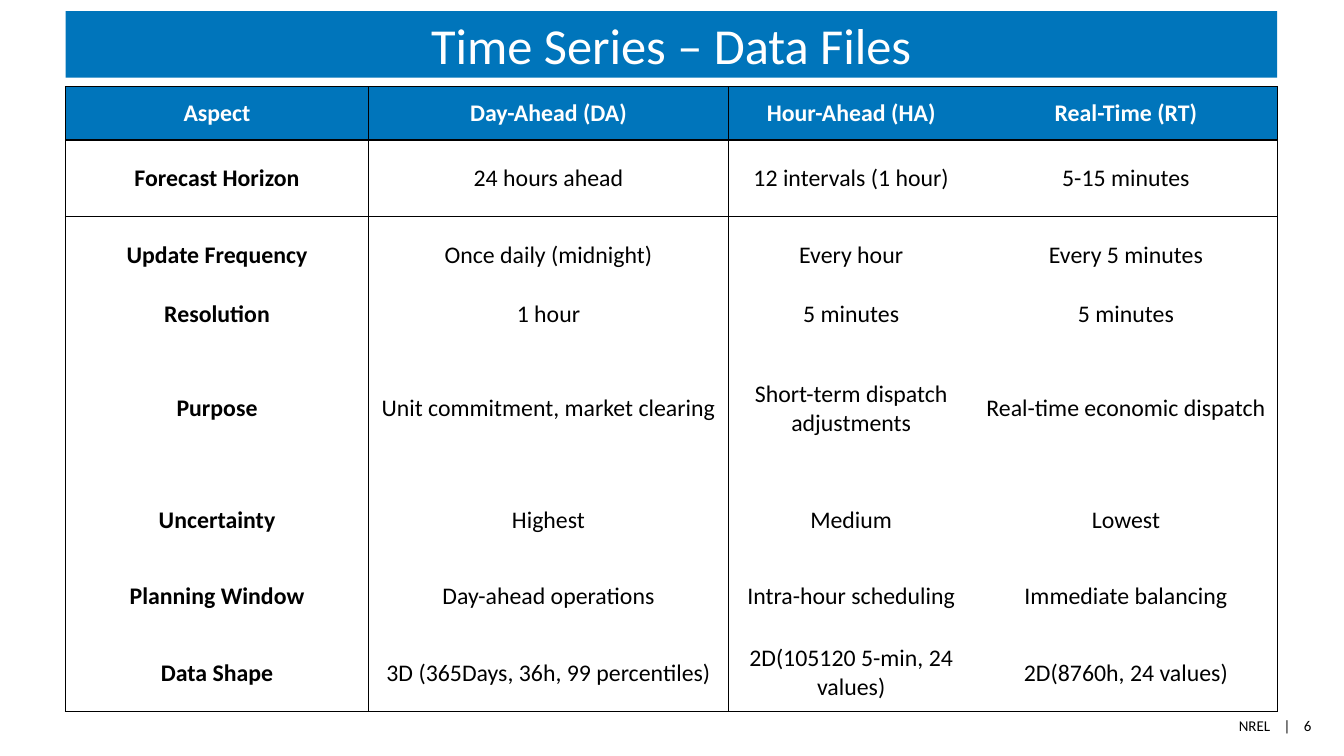
from lxml.etree import SubElement
from pptx import Presentation
from pptx.dml.color import RGBColor
from pptx.enum.text import MSO_ANCHOR, MSO_AUTO_SIZE, PP_ALIGN
from pptx.oxml import parse_xml
from pptx.oxml.ns import nsdecls, qn
from pptx.util import Pt

BLUE = RGBColor(0x00, 0x75, 0xBB)
WHITE = RGBColor(0xFF, 0xFF, 0xFF)
BLACK = RGBColor(0x00, 0x00, 0x00)

TITLE = "Time Series – Data Files"
FOOTER = "NREL\u00a0\u00a0\u00a0 |\u00a0\u00a0\u00a0 6".replace("\u00a0", " ")
ROWS = [
    ("Aspect", "Day-Ahead (DA)", "Hour-Ahead (HA)", "Real-Time (RT)"),
    ("Forecast Horizon", "24 hours ahead", "12 intervals (1 hour)", "5-15 minutes"),
    ("Update Frequency", "Once daily (midnight)", "Every hour", "Every 5 minutes"),
    ("Resolution", "1 hour", "5 minutes", "5 minutes"),
    ("Purpose", "Unit commitment, market clearing",
     "Short-term dispatch adjustments", "Real-time economic dispatch"),
    ("Uncertainty", "Highest", "Medium", "Lowest"),
    ("Planning Window", "Day-ahead operations", "Intra-hour scheduling",
     "Immediate balancing"),
    ("Data Shape", "3D (365Days, 36h, 99 percentiles)",
     "2D(105120 5-min, 24 values)", "2D(8760h, 24 values)"),
]
WIDTHS = [216.5, 257, 175.5, 217]
HEIGHTS = [38, 54.8, 54.8, 30.2, 104.2, 54.8, 54.8, 54.8]
LEFT, TOP = 46.8, 62
ROW_RULES = {0, 1, 2, len(ROWS)}
COL_RULES = {0, 1, 2, len(WIDTHS)}
NO_STYLE = "{2D5ABB26-0587-4C30-8999-92F81FD0307C}"


def write(frame, text, align=PP_ALIGN.CENTER, **look):
    frame.text = text
    par = frame.paragraphs[0]
    par.alignment = align
    par.font.color.rgb = look.pop("color")
    for name, value in {"name": "Calibri", **look}.items():
        setattr(par.font, name, value)
    return par


def inset(box, left, top, right, bottom):
    for side, gap in zip(("left", "top", "right", "bottom"),
                         (left, top, right, bottom)):
        setattr(box, "margin_" + side, Pt(gap))


def rule(cell, row, col):
    """Draw the cell edges that lie on a ruled grid line."""
    edges = {"L": col in COL_RULES, "R": col + 1 in COL_RULES,
             "T": row in ROW_RULES, "B": row + 1 in ROW_RULES}
    props = cell._tc.get_or_add_tcPr()
    for spot, (side, drawn) in enumerate(edges.items()):
        line = parse_xml(f'<a:ln{side} {nsdecls("a")} w="{Pt(1)}"/>')
        if drawn:
            fill = SubElement(line, qn("a:solidFill"))
            SubElement(fill, qn("a:srgbClr"), val=str(BLACK))
        else:
            SubElement(line, qn("a:noFill"))
        props.insert(spot, line)


def add_title(slide):
    title = slide.shapes.title
    title.left, title.top, title.width, title.height = map(
        Pt, (LEFT, 8, 865.5, 47.5))
    title.fill.solid()
    title.fill.fore_color.rgb = BLUE
    frame = title.text_frame
    frame.auto_size = MSO_AUTO_SIZE.NONE
    frame.vertical_anchor = MSO_ANCHOR.MIDDLE
    inset(frame, 7.2, 9.4, 7.2, 3.6)
    par = write(frame, TITLE, size=Pt(36), color=WHITE)
    par.line_spacing = Pt(37.3)


def add_grid(slide):
    table = slide.shapes.add_table(
        len(ROWS), len(WIDTHS), Pt(LEFT), Pt(TOP),
        Pt(sum(WIDTHS)), Pt(sum(HEIGHTS))).table
    table.horz_banding = False
    table._tbl.tblPr.find(qn("a:tableStyleId")).text = NO_STYLE
    for col, width in zip(table.columns, WIDTHS):
        col.width = Pt(width)
    for row, height in zip(table.rows, HEIGHTS):
        row.height = Pt(height)
    for r, texts in enumerate(ROWS):
        for c, text in enumerate(texts):
            cell = table.cell(r, c)
            cell.vertical_anchor = MSO_ANCHOR.MIDDLE
            inset(cell, 3.6, 2, 3.6, 2)
            head = r == 0
            write(cell.text_frame, text, size=Pt(17), bold=head or c == 0,
                  color=WHITE if head else BLACK)
            if head:
                cell.fill.solid()
                cell.fill.fore_color.rgb = BLUE
            else:
                cell.fill.background()
            rule(cell, r, c)


def add_footer(slide):
    box = slide.shapes.add_textbox(Pt(705), Pt(508.3), Pt(239), Pt(20))
    box.text_frame.word_wrap = True
    write(box.text_frame, FOOTER, PP_ALIGN.RIGHT, size=Pt(10.7), color=BLACK)


def main():
    deck = Presentation()
    deck.slide_width, deck.slide_height = Pt(960), Pt(540)
    slide = deck.slides.add_slide(deck.slide_layouts[5])
    add_footer(slide)
    add_title(slide)
    add_grid(slide)
    deck.save("out.pptx")


if __name__ == "__main__":
    main()
